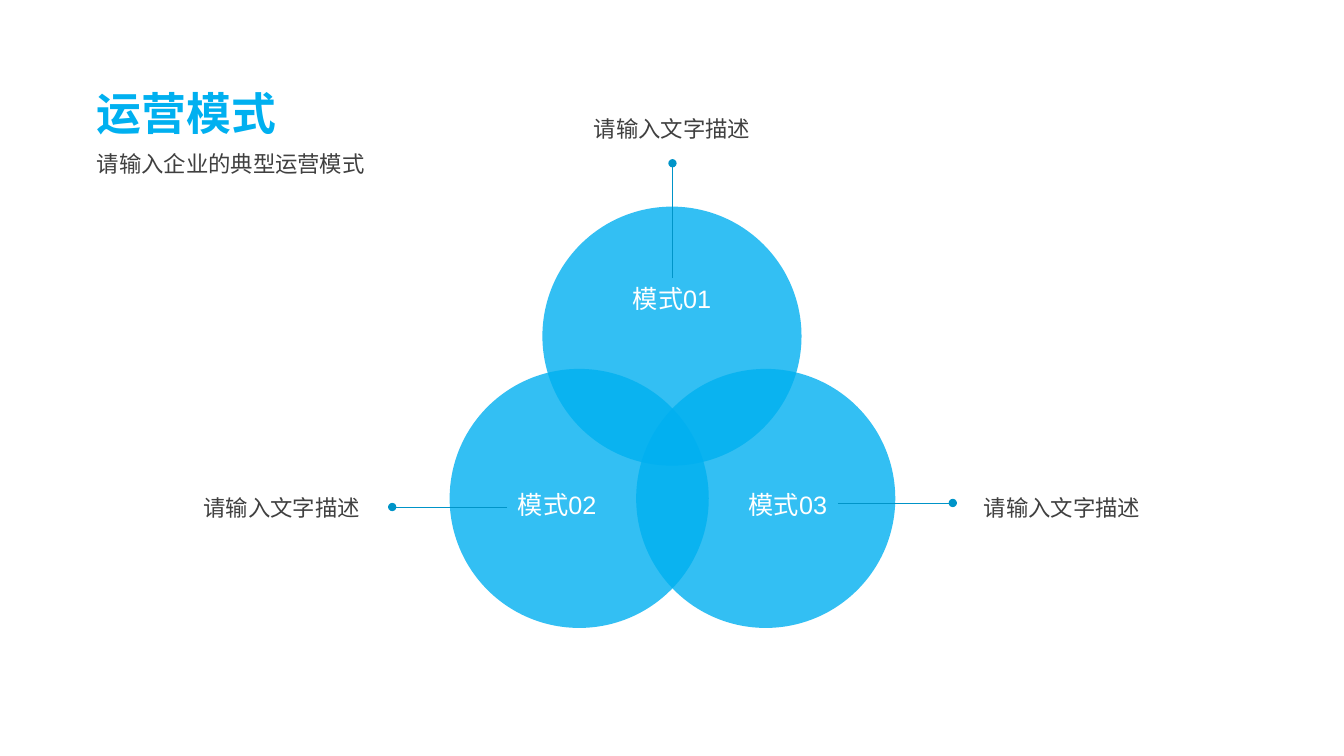
"""Build the operating model slide: three overlapping circles with callouts."""
from dataclasses import dataclass

from lxml import etree
from pptx import Presentation
from pptx.dml.color import RGBColor
from pptx.enum.shapes import MSO_CONNECTOR, MSO_SHAPE
from pptx.enum.text import MSO_ANCHOR, MSO_AUTO_SIZE, PP_ALIGN
from pptx.oxml.ns import qn
from pptx.shapes.autoshape import Shape
from pptx.slide import Slide
from pptx.util import Inches, Pt

BLUE = RGBColor(0x00, 0xB0, 0xF0)
DARK_BLUE = RGBColor(0x00, 0x94, 0xC8)
GRAY = RGBColor(0x40, 0x40, 0x40)
WHITE = RGBColor(0xFF, 0xFF, 0xFF)
LEFT, CENTER = PP_ALIGN.LEFT, PP_ALIGN.CENTER
TOP = MSO_ANCHOR.TOP
FIT_SHAPE = MSO_AUTO_SIZE.SHAPE_TO_FIT_TEXT
OVAL, STRAIGHT = MSO_SHAPE.OVAL, MSO_CONNECTOR.STRAIGHT

DIAMETER = 2.57
LABEL_SIZE = (0.99, 0.4)
NOTE_SIZE = (1.77, 0.37)
TITLE = {"name": "Arial", "size": Pt(32), "bold": True}
BODY = {"name": "Arial", "size": Pt(16), "bold": False}
LABEL = {"name": "Arial", "size": Pt(18), "bold": False}


@dataclass(frozen=True)
class Mode:
    """One circle with its label, leader line and note, in inches."""

    label: str
    note: str
    circle: tuple[float, float]
    label_at: tuple[float, float]
    line: tuple[float, float, float, float]
    note_at: tuple[float, float]


MODES = [
    Mode("模式01", "请输入文字描述", (5.38, 2.05), (6.17, 2.76),
         (6.67, 2.76, 6.67, 1.62), (5.78, 1.09)),
    Mode("模式03", "请输入文字描述", (6.31, 3.66), (7.32, 4.81),
         (8.31, 4.99, 9.45, 4.99), (9.65, 4.85)),
    Mode("模式02", "请输入文字描述", (4.46, 3.66), (5.03, 4.81),
         (5.03, 5.03, 3.89, 5.03), (1.91, 4.85)),
]


def set_text(sp: Shape, text: str, fmt: dict, color: RGBColor,
             align: PP_ALIGN, wrap: bool = False) -> None:
    """Fill a shape with one formatted paragraph."""
    tf = sp.text_frame
    frame = {"word_wrap": wrap, "auto_size": FIT_SHAPE, "vertical_anchor": TOP}
    for name, value in frame.items():
        setattr(tf, name, value)
    p = tf.paragraphs[0]
    p.alignment = align
    p.space_before = Pt(0)
    r = p.add_run()
    r.text = text
    for name, value in fmt.items():
        setattr(r.font, name, value)
    r.font.color.rgb = color


def place(sp: Shape, left: float, top: float, width: float, height: float) -> None:
    """Move and size a shape, in inches."""
    box = {"left": left, "top": top, "width": width, "height": height}
    for name, value in box.items():
        setattr(sp, name, Inches(value))


def add_text(s: Slide, at: tuple[float, float], size: tuple[float, float],
             text: str, fmt: dict, color: RGBColor, wrap: bool = False) -> None:
    """Add a centred text box."""
    sp = s.shapes.add_textbox(*map(Inches, at + size))
    set_text(sp, text, fmt, color, CENTER, wrap)


def add_circle(s: Slide, at: tuple[float, float]) -> None:
    """Add a blue circle at 80 percent opacity."""
    sp = s.shapes.add_shape(OVAL, *map(Inches, at + (DIAMETER, DIAMETER)))
    sp.shadow.inherit = False
    sp.fill.solid()
    sp.fill.fore_color.rgb = BLUE
    sp.line.fill.background()
    rgb = sp.fill._xPr.find(".//" + qn("a:srgbClr"))
    etree.SubElement(rgb, qn("a:alpha"), val="80000")


def add_leader(s: Slide, ends: tuple[float, float, float, float]) -> None:
    """Add a thin line that ends in a dot."""
    line = s.shapes.add_connector(STRAIGHT, *map(Inches, ends))
    line.line.color.rgb = DARK_BLUE
    line.line.width = Pt(0.5)
    etree.SubElement(line.line._get_or_add_ln(), qn("a:tailEnd"), type="oval")
    etree.SubElement(line._element.spPr, qn("a:effectLst"))


def main() -> None:
    """Build and save the slide."""
    prs = Presentation()
    prs.slide_width, prs.slide_height = Inches(13.33), Inches(7.5)
    s = prs.slides.add_slide(prs.slide_layouts[0])
    title, subtitle = s.placeholders
    place(title, 0.86, 0.8, 2, 0.64)
    set_text(title, "运营模式", TITLE, BLUE, LEFT)
    place(subtitle, 0.86, 1.44, 2.89, 0.37)
    set_text(subtitle, "请输入企业的典型运营模式", BODY, GRAY, LEFT)

    for mode in MODES:
        add_circle(s, mode.circle)
    for mode in MODES:
        add_text(s, mode.label_at, LABEL_SIZE, mode.label, LABEL, WHITE, wrap=True)
        add_leader(s, mode.line)
        add_text(s, mode.note_at, NOTE_SIZE, mode.note, BODY, GRAY)
    prs.save("out.pptx")


if __name__ == "__main__":
    main()
